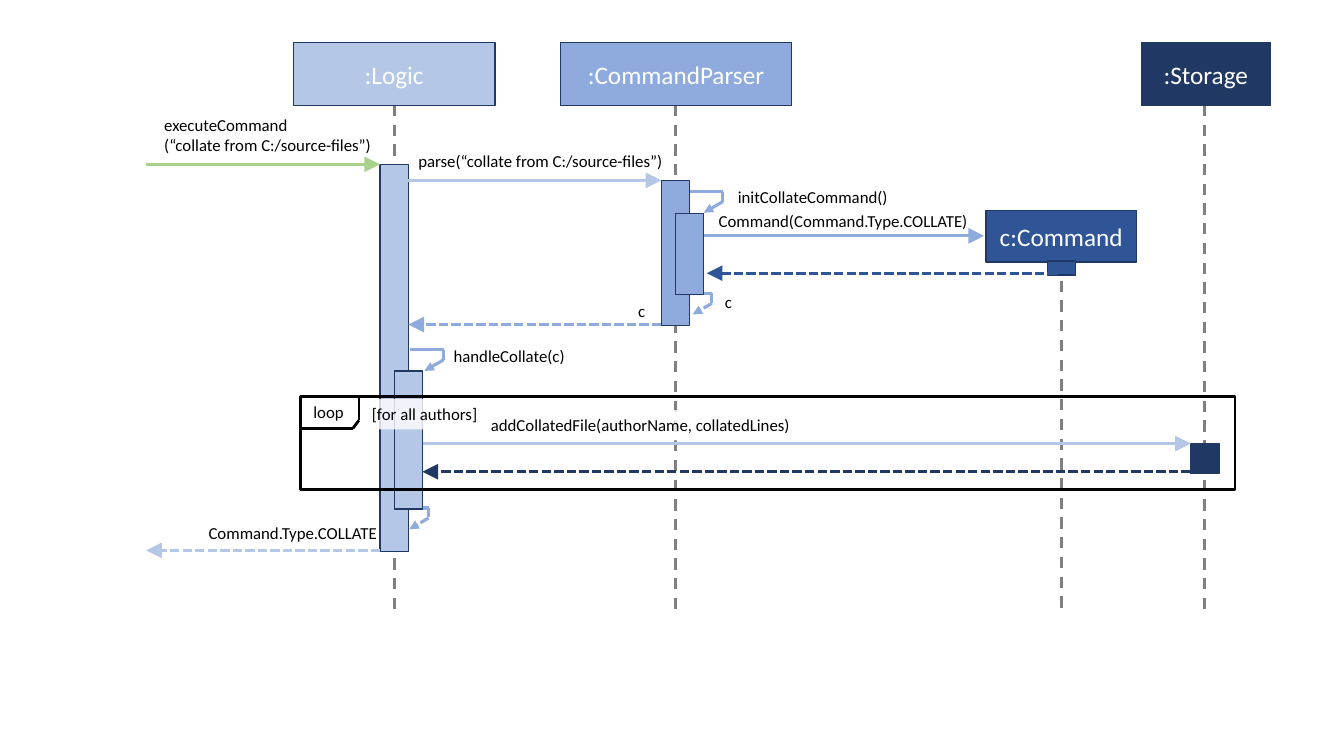
"""Build a sequence diagram slide for the collate command."""
from lxml import etree
from pptx import Presentation
from pptx.dml.color import RGBColor
from pptx.enum.dml import MSO_LINE
from pptx.enum.shapes import MSO_CONNECTOR, MSO_SHAPE
from pptx.enum.text import MSO_ANCHOR, MSO_AUTO_SIZE, PP_ALIGN
from pptx.oxml.ns import qn
from pptx.util import Inches, Pt

STRAIGHT = MSO_CONNECTOR.STRAIGHT
RECTANGLE = MSO_SHAPE.RECTANGLE
DASH = MSO_LINE.DASH
SHORT_DASH = MSO_LINE.SQUARE_DOT
MIDDLE = MSO_ANCHOR.MIDDLE
CENTER = PP_ALIGN.CENTER
GROW = MSO_AUTO_SIZE.SHAPE_TO_FIT_TEXT

FONT = "Calibri"
WHITE = RGBColor(0xFF, 0xFF, 0xFF)
BLACK = RGBColor(0x00, 0x00, 0x00)
GRAY = RGBColor(0x80, 0x80, 0x80)
GREEN = RGBColor(0xA9, 0xD1, 0x8E)
PALE_BLUE = RGBColor(0xB4, 0xC7, 0xE7)
LIGHT_BLUE = RGBColor(0x8F, 0xAA, 0xDC)
BLUE = RGBColor(0x2F, 0x55, 0x97)
NAVY = RGBColor(0x20, 0x38, 0x64)

BAR_WIDTH = 0.28

presentation = Presentation()
presentation.slide_width = Inches(13.33)
presentation.slide_height = Inches(7.5)
slide = presentation.slides.add_slide(presentation.slide_layouts[6])


def add_line(start, end, color, width=2.25, dash=None, head=None):
    line = slide.shapes.add_connector(
        STRAIGHT, Inches(start[0]), Inches(start[1]), Inches(end[0]), Inches(end[1]))
    line.line.color.rgb = color
    line.line.width = Pt(width)
    if dash is not None:
        line.line.dash_style = dash
    properties = line._element.spPr
    if head:
        etree.SubElement(properties.find(qn("a:ln")), qn("a:tailEnd"),
                         type="triangle", w=head, len=head)
    etree.SubElement(properties, qn("a:effectLst"))


def add_box(left, top, width, height, fill, text=""):
    box = slide.shapes.add_shape(
        RECTANGLE, Inches(left), Inches(top), Inches(width), Inches(height))
    box.shadow.inherit = False
    box.fill.solid()
    box.fill.fore_color.rgb = fill
    box.line.color.rgb = NAVY
    box.line.width = Pt(1)
    if text:
        box.text_frame.text = text
        box.text_frame.vertical_anchor = MIDDLE
        paragraph = box.text_frame.paragraphs[0]
        paragraph.alignment = CENTER
        font = paragraph.runs[0].font
        font.name, font.size, font.color.rgb = FONT, Pt(18), WHITE
    return box


lifelines = [(3.91, 1.04), (6.7, 1.04), (11.95, 1.04), (10.53, 2.59)]
for center, top in lifelines:
    add_line((center, top), (center, 6.05), GRAY, 2, DASH)

hooks = [
    (3.92, 5.04, SHORT_DASH),
    (6.73, 2.91, SHORT_DASH),
    (6.84, 1.9, None),
    (4.07, 3.47, None),
]
for left, top, dash in hooks:
    corner, bend = (left + 0.33, top), (left + 0.33, top + 0.1)
    add_line((left, top), corner, LIGHT_BLUE, dash=dash)
    add_line(corner, bend, LIGHT_BLUE, dash=dash)
    add_line(bend, (left + 0.14, top + 0.21), LIGHT_BLUE, dash=dash, head="med")

participants = [
    (2.91, 0.42, 2, 0.63, PALE_BLUE, ":Logic"),
    (5.56, 0.42, 2.29, 0.63, LIGHT_BLUE, ":CommandParser"),
    (9.78, 2.09, 1.49, 0.51, BLUE, "c:Command"),
    (11.32, 0.42, 1.28, 0.63, NAVY, ":Storage"),
]
for participant in participants:
    add_box(*participant)

activations = [
    (3.77, 1.63, 3.84, PALE_BLUE),
    (3.91, 3.68, 1.37, PALE_BLUE),
    (6.56, 1.79, 1.44, LIGHT_BLUE),
    (6.7, 2.12, 0.8, LIGHT_BLUE),
    (10.39, 2.59, 0.14, BLUE),
    (11.81, 4.4, 0.3, NAVY),
]
for left, top, height, fill in activations:
    add_box(left, top, BAR_WIDTH, height, fill)

messages = [
    (1.45, 3.77, 1.63, GREEN, None),
    (4.05, 6.56, 1.79, PALE_BLUE, None),
    (6.98, 9.76, 2.34, LIGHT_BLUE, None),
    (10.48, 7.01, 2.71, BLUE, SHORT_DASH),
    (6.56, 4.05, 3.22, LIGHT_BLUE, SHORT_DASH),
    (4.2, 11.81, 4.4, PALE_BLUE, None),
    (11.81, 4.19, 4.68, NAVY, SHORT_DASH),
    (3.77, 1.45, 5.46, PALE_BLUE, SHORT_DASH),
]
for start, end, height, color, dash in messages:
    add_line((start, height), (end, height), color, dash=dash, head="lg")

loop_frame = add_box(2.98, 3.93, 9.27, 0.93, WHITE)
loop_frame.fill.background()
loop_frame.line.color.rgb = BLACK
loop_frame.line.width = Pt(2)

loop_tab = [(2.98, 4.25), (3.5, 4.25), (3.56, 4.17), (3.56, 3.94)]
for start, end in zip(loop_tab, loop_tab[1:]):
    add_line(start, end, BLACK, 2)

labels = [
    (1.53, 1.09, 2.28, 0.5, "executeCommand\n(“collate from C:/source-files”)", False),
    (4.05, 1.45, 2.65, 0.3, "parse(“collate from C:/source-files”)", False),
    (7.22, 1.8, 1.7, 0.3, "initCollateCommand()", False),
    (7.03, 2.04, 2.69, 0.3, "Command(Command.Type.COLLATE)", False),
    (7.09, 2.85, 0.27, 0.3, "c", False),
    (6.23, 2.93, 0.27, 0.3, "c", False),
    (4.4, 3.38, 1.32, 0.3, "handleCollate(c)", False),
    (3.01, 3.94, 0.51, 0.3, "loop", False),
    (3.59, 3.96, 1.26, 0.3, "[for all authors]", True),
    (4.77, 4.07, 3.2, 0.3, "addCollatedFile(authorName, collatedLines)", True),
    (1.97, 5.14, 1.89, 0.3, "Command.Type.COLLATE", False),
]
for left, top, width, height, text, veiled in labels:
    label = slide.shapes.add_textbox(Inches(left), Inches(top), Inches(width), Inches(height))
    label.text_frame.text = text
    label.text_frame.word_wrap = False
    label.text_frame.auto_size = GROW
    for paragraph in label.text_frame.paragraphs:
        font = paragraph.runs[0].font
        font.name, font.size, font.color.rgb = FONT, Pt(12), BLACK
    if veiled:
        label.fill.solid()
        label.fill.fore_color.rgb = WHITE
        veil = label._element.spPr.find(qn("a:solidFill"))[0]
        etree.SubElement(veil, qn("a:alpha"), val="80000")

presentation.save("out.pptx")
